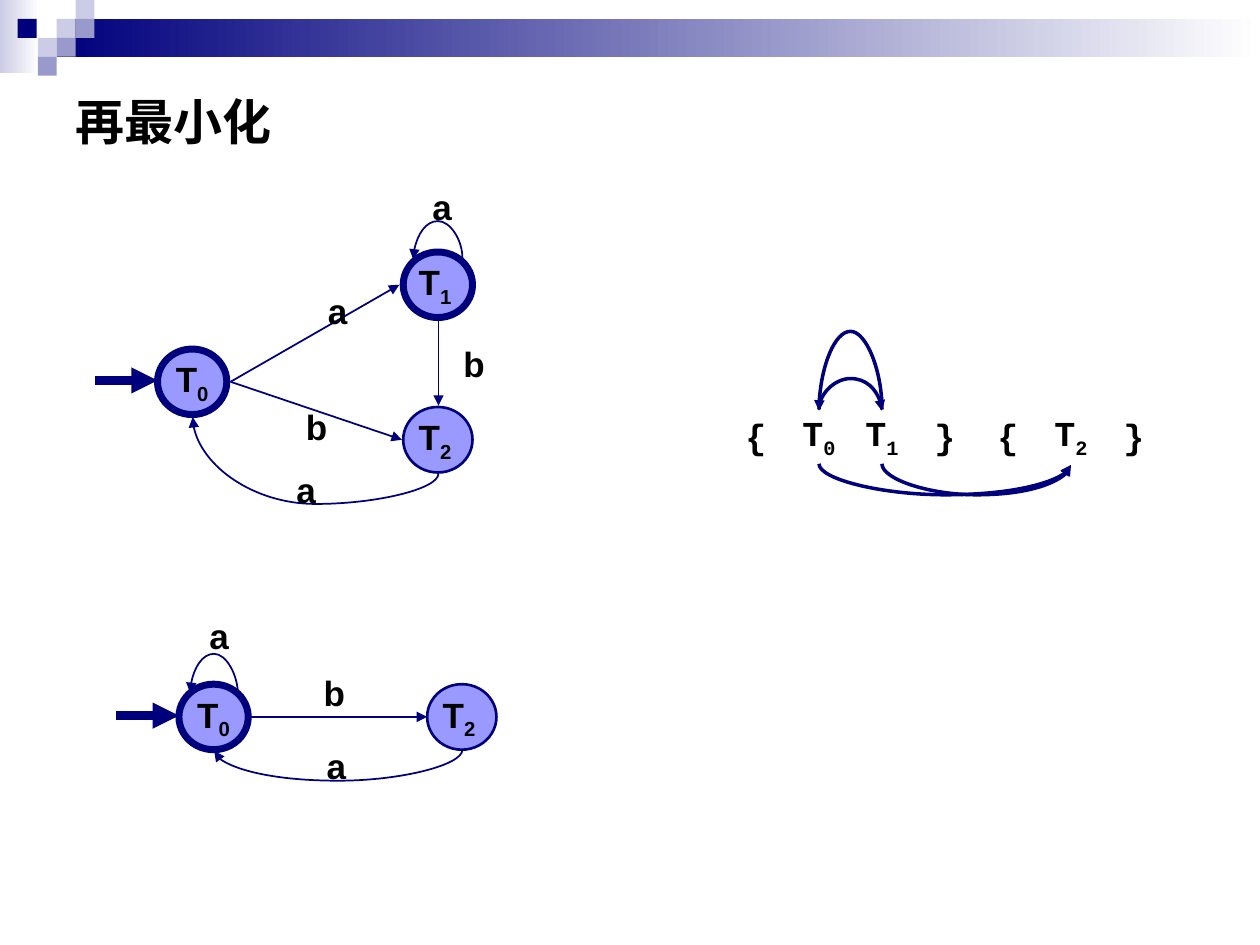
from dataclasses import dataclass

from lxml import etree
from pptx import Presentation
from pptx.dml.color import RGBColor
from pptx.enum.shapes import MSO_CONNECTOR, MSO_SHAPE
from pptx.enum.text import MSO_ANCHOR, PP_ALIGN
from pptx.oxml.ns import qn
from pptx.util import Emu, Pt

STRAIGHT, CURVE = MSO_CONNECTOR.STRAIGHT, MSO_CONNECTOR.CURVE
RECTANGLE, OVAL = MSO_SHAPE.RECTANGLE, MSO_SHAPE.OVAL
MIDDLE = MSO_ANCHOR.MIDDLE
LEFT, CENTER = PP_ALIGN.LEFT, PP_ALIGN.CENTER
TITLE_ONLY = 5
EMU_PER_PX = 9144  # 100 px to the inch


@dataclass(frozen=True)
class Theme:
    navy: str = "00007D"
    slate: str = "9999CC"
    mist: str = "CCCCE6"
    node: str = "9999FF"
    white: str = "FFFFFF"
    ink: str = "000000"
    sans: str = "Arial"
    mono: str = "Courier New"
    title_size: int = 28
    label_size: int = 20


def px(length):
    return Emu(round(length * EMU_PER_PX))


def color(value):
    return RGBColor.from_string(value)


def write(frame, text, subscript="", *, font, size, ink, align=CENTER):
    """Write bold text with an optional subscript into a text frame."""
    para = frame.paragraphs[0]
    para.alignment = align
    for content, baseline in ((text, None), (subscript, "-25000")):
        if not content:
            continue
        span = para.add_run()
        span.text = content
        span.font.name = font
        span.font.size = Pt(size)
        span.font.bold = True
        span.font.color.rgb = color(ink)
        if baseline:
            span.font._element.set("baseline", baseline)


class Page:
    def __init__(self, deck, theme):
        self.theme = theme
        self.slide = deck.slides.add_slide(deck.slide_layouts[TITLE_ONLY])
        self.shapes = self.slide.shapes
        self.label_style = {"size": theme.label_size, "ink": theme.ink}

    def title(self, text, left, top, width, height):
        box = self.shapes.title
        box.left, box.top, box.width, box.height = map(px, (left, top, width, height))
        box.text_frame.vertical_anchor = MIDDLE
        write(box.text_frame, text, font=self.theme.mono,
              size=self.theme.title_size, ink=self.theme.ink, align=LEFT)

    def block(self, left, top, width, height, fill, fade_to=None):
        box = self.shapes.add_shape(RECTANGLE, *map(px, (left, top, width, height)))
        box.shadow.inherit = False
        box.line.fill.background()
        if fade_to:
            box.fill.gradient()
            box.fill.gradient_angle = 0
            for stop, shade in zip(box.fill.gradient_stops, (fill, fade_to)):
                stop.position = 0 if shade == fill else 1
                stop.color.rgb = color(shade)
        else:
            box.fill.solid()
            box.fill.fore_color.rgb = color(fill)

    def state(self, left, top, subscript, line_width=1.5):
        oval = self.shapes.add_shape(OVAL, *map(px, (left, top, 55, 52)))
        oval.shadow.inherit = False
        oval.fill.solid()
        oval.fill.fore_color.rgb = color(self.theme.node)
        oval.line.color.rgb = color(self.theme.navy)
        oval.line.width = Pt(line_width)
        frame = oval.text_frame
        frame.word_wrap = False
        frame.vertical_anchor = MIDDLE
        write(frame, "T", subscript, font=self.theme.sans, **self.label_style)

    def label(self, text, left, top):
        box = self.shapes.add_textbox(*map(px, (left, top, 36, 43)))
        box.text_frame.word_wrap = False
        write(box.text_frame, text, font=self.theme.sans, **self.label_style)

    def arrow(self, start, end, line_width=1, kind=STRAIGHT):
        connector = self.shapes.add_connector(kind, *map(px, (*start, *end)))
        connector.line.color.rgb = color(self.theme.navy)
        connector.line.width = Pt(line_width)
        head = etree.SubElement(connector.line._get_or_add_ln(), qn("a:tailEnd"))
        head.set("type", "triangle")
        etree.SubElement(connector._element.spPr, qn("a:effectLst"))
        return connector

    def curved_arrow(self, start, end, bend, line_width=1):
        """Draw a U-shaped arrow that leaves vertically and turns near y = bend."""
        run = end[0] - start[0]
        rise = end[1] - start[1] or 1
        middle_x, middle_y = start[0] + run / 2, start[1] + rise / 2
        connector = self.arrow((middle_x - rise / 2, middle_y + run / 2),
                               (middle_x + rise / 2, middle_y - run / 2),
                               line_width, CURVE)
        properties = connector._element.spPr
        properties.find(qn("a:xfrm")).set("rot", str(90 * 60000))
        guides = properties.find(qn("a:prstGeom")).get_or_add_avLst()
        guide = etree.SubElement(guides, qn("a:gd"))
        guide.set("name", "adj1")
        guide.set("fmla", f"val {round((bend - start[1]) / rise * 100000)}")

    def partition(self, left, top, cells, cell_width, height):
        frame = self.shapes.add_table(
            1, len(cells), *map(px, (left, top, cell_width * len(cells), height)))
        table = frame.table
        table.first_row = table.horz_banding = False
        for cell, (text, subscript) in zip(table.rows[0].cells, cells):
            cell.fill.background()
            cell.vertical_anchor = MIDDLE
            cell.margin_left = cell.margin_right = px(2)
            cell.margin_top = cell.margin_bottom = px(5)
            write(cell.text_frame, text, subscript,
                  font=self.theme.mono, **self.label_style)


def draw_banner(page):
    theme = page.theme
    page.block(0, 0, 31, 58, theme.mist, fade_to=theme.white)
    page.block(45, 15, 955, 30, theme.navy, fade_to=theme.white)
    for left, top, fill in ((45, 15, theme.mist), (60, 0, theme.mist),
                            (60, 15, theme.slate), (30, 30, theme.mist),
                            (14, 15, theme.navy), (45, 30, theme.slate),
                            (30, 45, theme.slate)):
        page.block(left, top, 15, 15, fill)


def draw_start_state(page, left, top):
    page.state(left, top, "0", line_width=4)
    page.arrow((left - 50, top + 25), (left, top + 25), line_width=5)


def draw_three_states(page):
    draw_start_state(page, 125, 277)
    page.state(320, 200, "1 ", line_width=4)
    page.state(320, 323, "2 ")
    for start, end in (((183, 303), (317, 226)), ((183, 303), (319, 349)),
                       ((348, 255), (348, 322))):
        page.arrow(start, end)
    page.curved_arrow((367, 205), (328, 205), bend=175)
    page.curved_arrow((348, 376), (153, 331), bend=400)
    for text, left, top in (("a", 250, 225), ("b", 233, 317), ("b", 358, 267),
                            ("a", 225, 367), ("a", 333, 142)):
        page.label(text, left, top)


def draw_two_states(page):
    draw_start_state(page, 142, 543)
    page.state(339, 543, "2 ")
    page.arrow((197, 569), (339, 569))
    page.curved_arrow((189, 552), (151, 550), bend=519)
    page.curved_arrow((367, 595), (170, 596), bend=620)
    for text, left, top in (("b", 247, 528), ("a", 249, 586), ("a", 156, 483)):
        page.label(text, left, top)


def draw_partition(page):
    cells = [("{", ""), ("T", "0"), ("T", "1"), ("}", ""),
             ("{", ""), ("T", "2"), ("}", "")]
    page.partition(575, 325, cells, cell_width=50, height=44)
    for start, end, bend in (((650, 325), (700, 325), 300),
                             ((700, 325), (650, 325), 262),
                             ((650, 368), (850, 369), 393),
                             ((700, 368), (850, 369), 393)):
        page.curved_arrow(start, end, bend, line_width=2)


def main():
    deck = Presentation()
    deck.slide_width, deck.slide_height = px(1000), px(750)
    page = Page(deck, Theme())
    draw_banner(page)
    page.title("再最小化", 50, 50, 900, 92)
    draw_three_states(page)
    draw_partition(page)
    draw_two_states(page)
    deck.save("out.pptx")


if __name__ == "__main__":
    main()
